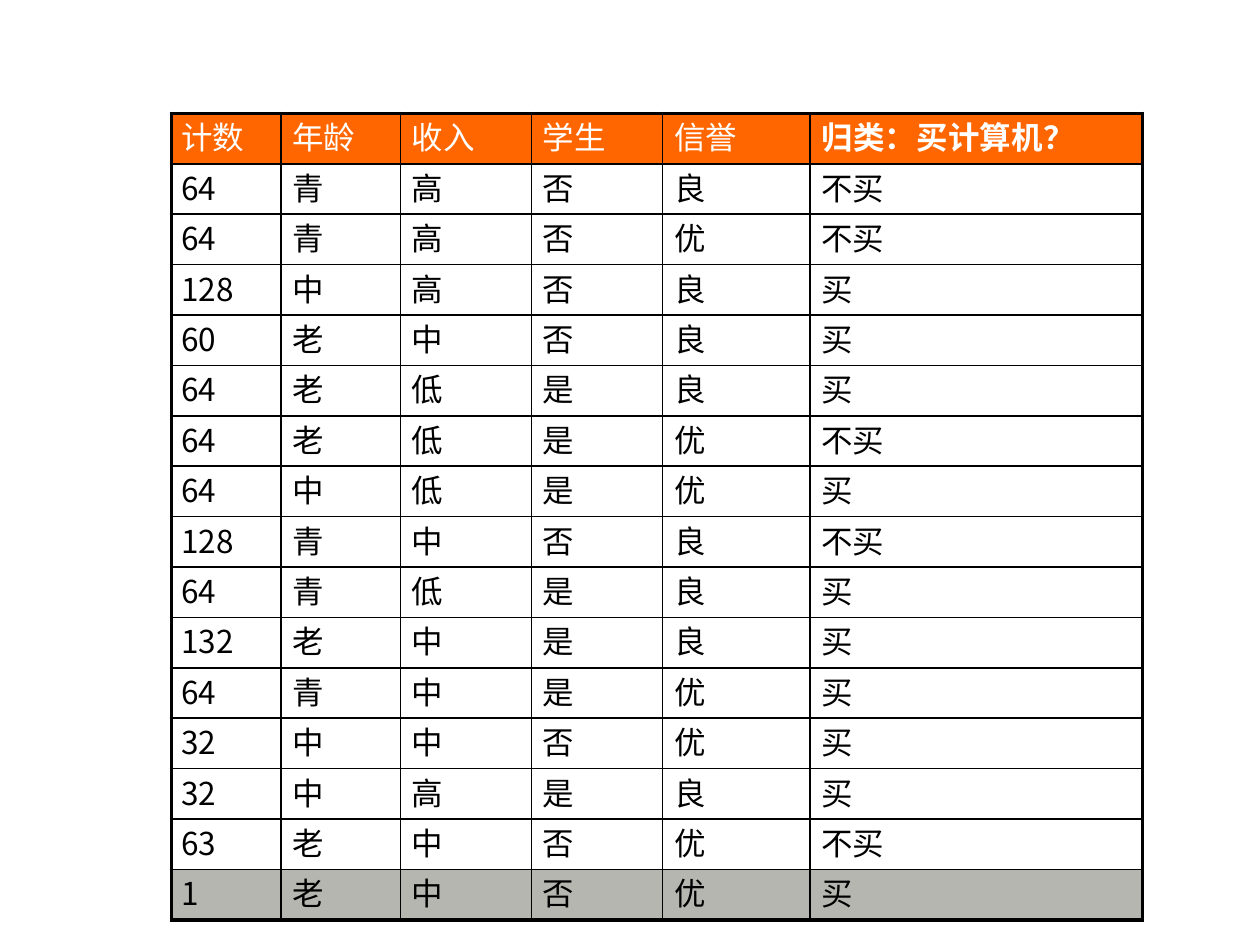
from dataclasses import dataclass

from lxml import etree
from pptx import Presentation
from pptx.dml.color import RGBColor
from pptx.enum.text import MSO_ANCHOR
from pptx.oxml.ns import qn
from pptx.util import Inches, Pt

TOP = MSO_ANCHOR.TOP
BLANK_LAYOUT = 6


@dataclass(frozen=True)
class Theme:
    font: str = "Noto Sans CJK SC"
    size: float = 18
    ink: str = "000000"
    header_ink: str = "FFFFFF"
    header_fill: str = "FF6600"
    last_fill: str = "B4B6AF"
    thin: float = 1.1
    thick: float = 2.35
    first_indent: float = 0.8
    indent: float = 0.9
    title_spacing: float = 0.1


class SlideBuilder:
    def __init__(self, deck, theme):
        self.theme = theme
        self.page = deck.slides.add_slide(deck.slide_layouts[BLANK_LAYOUT])
        self.unit = deck.slide_width / 100

    def length(self, units):
        return round(units * self.unit)

    def table(self, left, top, widths, row_height, rows):
        row_count, column_count = len(rows), len(widths)
        frame = self.page.shapes.add_table(
            row_count, column_count, self.length(left), self.length(top),
            self.length(sum(widths)), self.length(row_height * row_count))
        table = frame.table
        table.first_row = False
        table.horz_banding = False
        for column, width in zip(table.columns, widths):
            column.width = self.length(width)
        last_row, last_column = row_count - 1, column_count - 1
        for r, values in enumerate(rows):
            table.rows[r].height = self.length(row_height)
            for c, value in enumerate(values):
                cell = table.cell(r, c)
                self.borders(cell, {"L": c == 0, "R": c == last_column,
                                    "T": r == 0, "B": r == last_row})
                self.fill(cell, r == 0, r == last_row)
                self.text(cell, value, c == 0, r == 0,
                          r == 0 and c == last_column)

    def borders(self, cell, outer_sides):
        properties = cell._tc.get_or_add_tcPr()
        for side, outer in outer_sides.items():
            width = self.theme.thick if outer else self.theme.thin
            line = etree.SubElement(properties, qn(f"a:ln{side}"), w=str(Pt(width)))
            paint = etree.SubElement(line, qn("a:solidFill"))
            etree.SubElement(paint, qn("a:srgbClr"), val=self.theme.ink)

    def fill(self, cell, header, last):
        if header or last:
            color = self.theme.header_fill if header else self.theme.last_fill
            cell.fill.solid()
            cell.fill.fore_color.rgb = RGBColor.from_string(color)
        else:
            cell.fill.background()

    def text(self, cell, value, first, header, bold):
        cell.margin_left = cell.margin_right = 0
        cell.margin_top = cell.margin_bottom = 0
        cell.vertical_anchor = TOP
        para = cell.text_frame.paragraphs[0]
        indent = self.theme.first_indent if first else self.theme.indent
        properties = para._p.get_or_add_pPr()
        properties.set("marL", str(self.length(indent)))
        properties.set("indent", "0")
        color = self.theme.header_ink if header else self.theme.ink
        parts = value if isinstance(value, tuple) else (value,)
        for index, part in enumerate(parts):
            span = para.add_run()
            span.text = part
            span.font.size = Pt(self.theme.size)
            span.font.name = self.theme.font
            span.font.bold = bold
            span.font.color.rgb = RGBColor.from_string(color)
            span_properties = span._r.get_or_add_rPr()
            etree.SubElement(span_properties, qn("a:ea"), typeface=self.theme.font)
            if bold and index == 0:
                span_properties.set("spc", str(round(self.theme.title_spacing * 100)))


HEADER = ["计数", "年龄", "收入", "学生", "信誉", ("归类：买计算机", "？")]
RECORDS = """
64 青 高 否 良 不买
64 青 高 否 优 不买
128 中 高 否 良 买
60 老 中 否 良 买
64 老 低 是 良 买
64 老 低 是 优 不买
64 中 低 是 优 买
128 青 中 否 良 不买
64 青 低 是 良 买
132 老 中 是 良 买
64 青 中 是 优 买
32 中 中 否 优 买
32 中 高 是 良 买
63 老 中 否 优 不买
1 老 中 否 优 买
"""


def main():
    deck = Presentation()
    deck.slide_width, deck.slide_height = Inches(10), Inches(7.5)
    builder = SlideBuilder(deck, Theme())
    records = [line.split() for line in RECORDS.strip().splitlines()]
    builder.table(13.6, 9, [8.7, 9.5, 10.4, 10.4, 11.7, 26.4], 4,
                  [HEADER, *records])
    deck.save("out.pptx")


if __name__ == "__main__":
    main()
